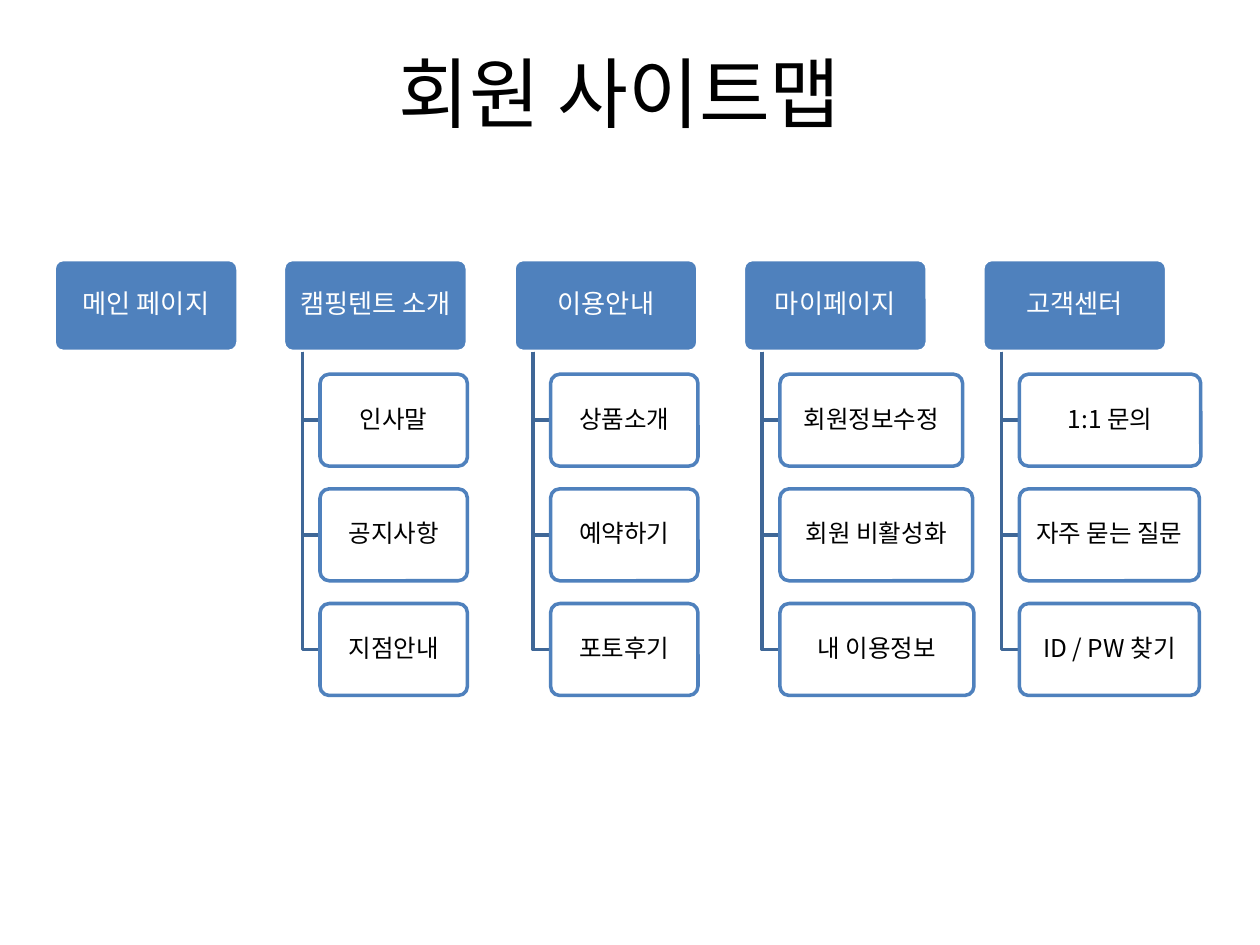
import pptx
import pptx.util
import pptx.dml.color
import pptx.enum.shapes
import pptx.enum.text
import pptx.oxml.ns
from lxml import etree

Inches = pptx.util.Inches
Pt = pptx.util.Pt
RGBColor = pptx.dml.color.RGBColor
qn = pptx.oxml.ns.qn

FONT = "Noto Sans CJK KR"
BLUE = RGBColor(0x4F, 0x81, 0xBD)
DARK_BLUE = RGBColor(0x3F, 0x67, 0x97)
WHITE = RGBColor(0xFF, 0xFF, 0xFF)
BLACK = RGBColor(0, 0, 0)

TOP = 2.06
BOX_HEIGHT = 0.73
HEADER_WIDTH = 1.46
ROW_PITCH = 0.91
TRUNK_INDENT = 0.15
ITEM_INDENT = 0.29

# Left edge, header, then each page with its box width
MENUS = [
    (0.43, "메인 페이지", []),
    (2.25, "캠핑텐트 소개", [("인사말", 1.17), ("공지사항", 1.17), ("지점안내", 1.17)]),
    (4.08, "이용안내", [("상품소개", 1.17), ("예약하기", 1.17), ("포토후기", 1.17)]),
    (5.9, "마이페이지", [("회원정보수정", 1.45), ("회원 비활성화", 1.53), ("내 이용정보", 1.54)]),
    (7.8, "고객센터", [("1:1 문의", 1.44), ("자주 묻는 질문", 1.43), ("ID / PW 찾기", 1.43)]),
]


def write_text(shape, text, size, color):
    frame = shape.text_frame
    frame.word_wrap = True
    frame.vertical_anchor = pptx.enum.text.MSO_ANCHOR.MIDDLE
    paragraph = frame.paragraphs[0]
    paragraph.alignment = pptx.enum.text.PP_ALIGN.CENTER
    run = paragraph.add_run()
    run.text = text
    run.font.size = Pt(size)
    run.font.name = FONT
    run.font.color.rgb = color
    # East Asian typeface for the Korean letters
    etree.SubElement(run.font._element, qn("a:ea")).set("typeface", FONT)
    return paragraph


def add_title(slide, left, top, width, height):
    title = slide.shapes.add_textbox(Inches(left), Inches(top), Inches(width), Inches(height))
    write_text(title, "회원 사이트맵", 44, BLACK)


def add_box(slide, left, top, width, text, size, fill, line, color):
    box = slide.shapes.add_shape(
        pptx.enum.shapes.MSO_SHAPE.ROUNDED_RECTANGLE,
        Inches(left), Inches(top), Inches(width), Inches(BOX_HEIGHT))
    box.adjustments[0] = 0.1
    box.shadow.inherit = False
    box.fill.solid()
    box.fill.fore_color.rgb = fill
    box.line.color.rgb = line
    box.line.width = Pt(2)
    frame = box.text_frame
    frame.margin_left = frame.margin_right = Inches(0.03)
    frame.margin_top = frame.margin_bottom = Inches(0.02)
    write_text(box, text, size, color).line_spacing = 0.9
    return box


def add_branch(slide, left, top, right, bottom):
    builder = slide.shapes.build_freeform(Inches(left), Inches(top))
    builder.add_line_segments(
        [(Inches(left), Inches(bottom)), (Inches(right), Inches(bottom))], close=False)
    branch = builder.convert_to_shape()
    branch.shadow.inherit = False
    branch.fill.background()
    branch.line.color.rgb = DARK_BLUE
    branch.line.width = Pt(2)


def add_menu(slide, left, top, header, pages):
    add_box(slide, left, top, HEADER_WIDTH, header, 15, BLUE, WHITE, WHITE)
    item_left = left + ITEM_INDENT
    for row, (page, width) in enumerate(pages, 1):
        item_top = top + row * ROW_PITCH
        add_branch(slide, left + TRUNK_INDENT, top + BOX_HEIGHT,
                   item_left, item_top + BOX_HEIGHT / 2)
        box = add_box(slide, item_left, item_top, width, page, 14, WHITE, BLUE, BLACK)
        # Fill at 90 percent opacity
        fill_color = box._element.spPr.find(qn("a:solidFill")).find(qn("a:srgbClr"))
        etree.SubElement(fill_color, qn("a:alpha")).set("val", "90000")


presentation = pptx.Presentation()
presentation.slide_width = Inches(10)
presentation.slide_height = Inches(7.5)
slide = presentation.slides.add_slide(presentation.slide_layouts[6])

# Site map columns
for left, header, pages in MENUS:
    add_menu(slide, left, TOP, header, pages)

# Title
add_title(slide, 0.67, 0.29, 8.5, 0.87)

presentation.save("out.pptx")
